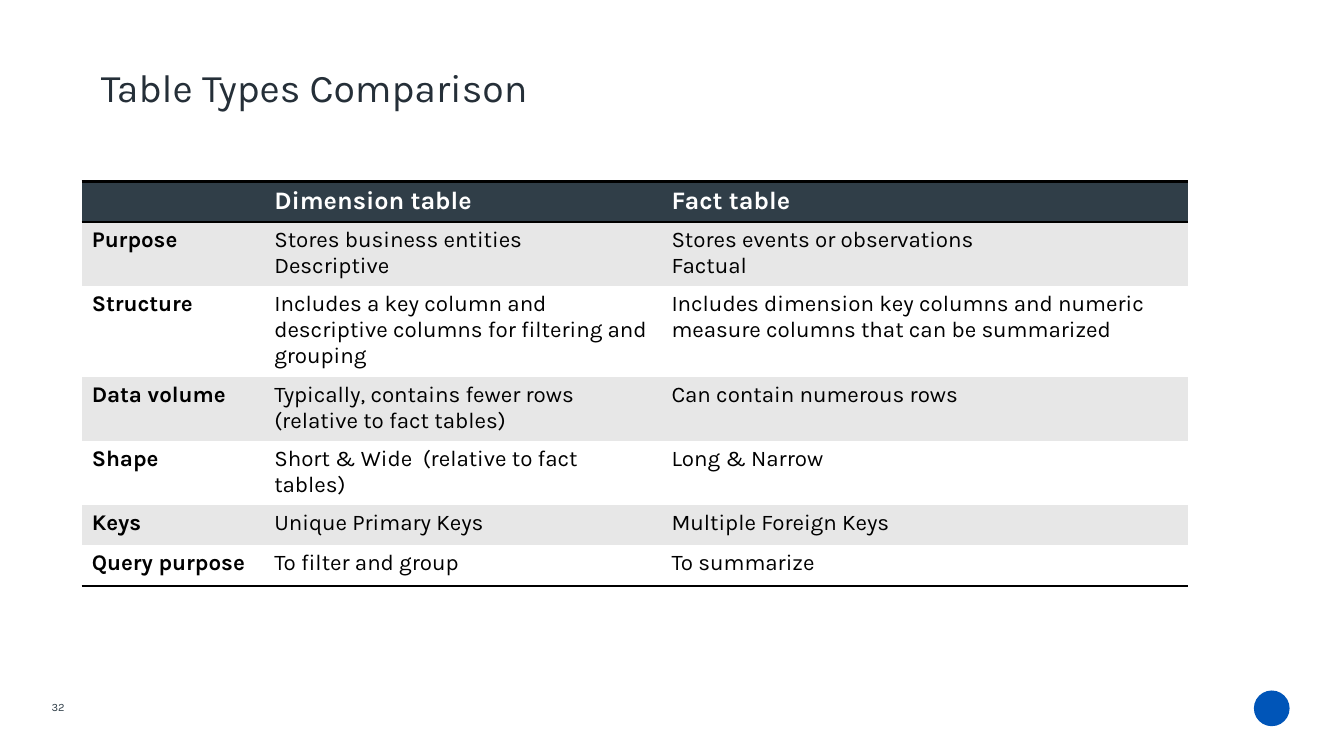
import pptx
import pptx.dml.color
import pptx.enum.shapes
import pptx.enum.text
import pptx.oxml
import pptx.oxml.ns
import pptx.util
from pptx.util import Cm

FONT = "Karla"
NO_GRID_STYLE = "{2D5ABB26-0587-4C30-8999-92F81FD0307C}"
DARK, GREY, WHITE, BLACK = "303E48", "E7E7E7", "FFFFFF", "000000"

ROWS = [
    ["", "Dimension table", "Fact table"],
    ["Purpose", "Stores business entities\nDescriptive",
     "Stores events or observations\nFactual"],
    ["Structure",
     "Includes a key column and descriptive columns for filtering and grouping",
     "Includes dimension key columns and numeric measure columns "
     "that can be summarized"],
    ["Data volume", "Typically, contains fewer rows\n(relative to fact tables)",
     "Can contain numerous rows"],
    ["Shape", "Short & Wide  (relative to fact tables)", "Long & Narrow"],
    ["Keys", "Unique Primary Keys", "Multiple Foreign Keys"],
    ["Query purpose", "To filter and group", "To summarize"],
]
COL_WIDTHS = [4.6, 10.01, 13.26]
ROW_HEIGHT = 1.03


def color(value):
    return pptx.dml.color.RGBColor.from_string(value)


def add_run(p, text, size, hex_color, bold=False):
    r = p.add_run()
    r.text = text
    r.font.name = FONT
    r.font.size = pptx.util.Pt(size)
    r.font.bold = bold
    r.font.color.rgb = color(hex_color)


def set_margins(tf, left, top, right, bottom):
    tf.margin_left, tf.margin_top = Cm(left), Cm(top)
    tf.margin_right, tf.margin_bottom = Cm(right), Cm(bottom)


def add_title(s, text):
    sp = s.shapes.title
    sp.left, sp.top, sp.width, sp.height = Cm(2.54), Cm(1.7), Cm(28.73), Cm(1.14)
    tf = sp.text_frame
    set_margins(tf, 0, 0, 0, 0)
    tf.vertical_anchor = pptx.enum.text.MSO_ANCHOR.MIDDLE
    p = tf.paragraphs[0]
    p.alignment = pptx.enum.text.PP_ALIGN.LEFT
    p.line_spacing = 0.85
    add_run(p, text, 28, "252F38")


def set_borders(cell, sides):
    """Draw 2 pt black lines; sides holds "T" and/or "B"."""
    for i, side in enumerate(sides):
        line = pptx.oxml.parse_xml(
            f'<a:ln{side} {pptx.oxml.ns.nsdecls("a")} w="{pptx.util.Pt(2)}">'
            f'<a:solidFill><a:srgbClr val="{BLACK}"/></a:solidFill></a:ln{side}>')
        cell._tc.get_or_add_tcPr().insert(i, line)


def fill_cell(cell, text, fill, size, hex_color, bold):
    cell.fill.solid()
    cell.fill.fore_color.rgb = color(fill)
    tf = cell.text_frame
    for i, line in enumerate(text.split("\n") if text else []):
        p = tf.add_paragraph() if i else tf.paragraphs[0]
        add_run(p, line, size, hex_color, bold)


def add_comparison_table(s):
    frame = s.shapes.add_table(
        len(ROWS), len(COL_WIDTHS), Cm(2.06), Cm(4.57),
        Cm(sum(COL_WIDTHS)), Cm(ROW_HEIGHT * len(ROWS)))
    table = frame.table
    table._tbl.tblPr.find(pptx.oxml.ns.qn("a:tableStyleId")).text = NO_GRID_STYLE
    for col, width in zip(table.columns, COL_WIDTHS):
        col.width = Cm(width)
    for i, texts in enumerate(ROWS):
        table.rows[i].height = Cm(ROW_HEIGHT)
        for j, text in enumerate(texts):
            cell = table.cell(i, j)
            if i == 0:
                fill_cell(cell, text, DARK, 18, WHITE, True)
                set_borders(cell, "TB")
            else:
                fill_cell(cell, text, GREY if i % 2 else WHITE, 16, BLACK, j == 0)
        if i == len(ROWS) - 1:
            for cell in table.rows[i].cells:
                set_borders(cell, "B")


def add_page_number(s, number):
    sp = s.shapes.add_textbox(Cm(0.08), Cm(17.53), Cm(1.55), Cm(0.61))
    tf = sp.text_frame
    tf.word_wrap = True
    set_margins(tf, 0.25, 0.13, 0, 0.13)
    p = tf.paragraphs[0]
    p.alignment = pptx.enum.text.PP_ALIGN.RIGHT
    add_run(p, number, 8, DARK)


def add_corner_mark(s):
    sp = s.shapes.add_shape(pptx.enum.shapes.MSO_SHAPE.OVAL,
                            Cm(31.6), Cm(17.4), Cm(0.9), Cm(0.9))
    sp.shadow.inherit = False
    sp.fill.solid()
    sp.fill.fore_color.rgb = color("0055B8")
    sp.line.fill.background()


def main():
    prs = pptx.Presentation()
    prs.slide_width, prs.slide_height = Cm(33.87), Cm(19.05)
    s = prs.slides.add_slide(prs.slide_layouts[5])

    # Footer
    add_page_number(s, "32")
    add_corner_mark(s)

    # Heading and table
    add_title(s, "Table Types Comparison")
    add_comparison_table(s)

    prs.save("out.pptx")


if __name__ == "__main__":
    main()
